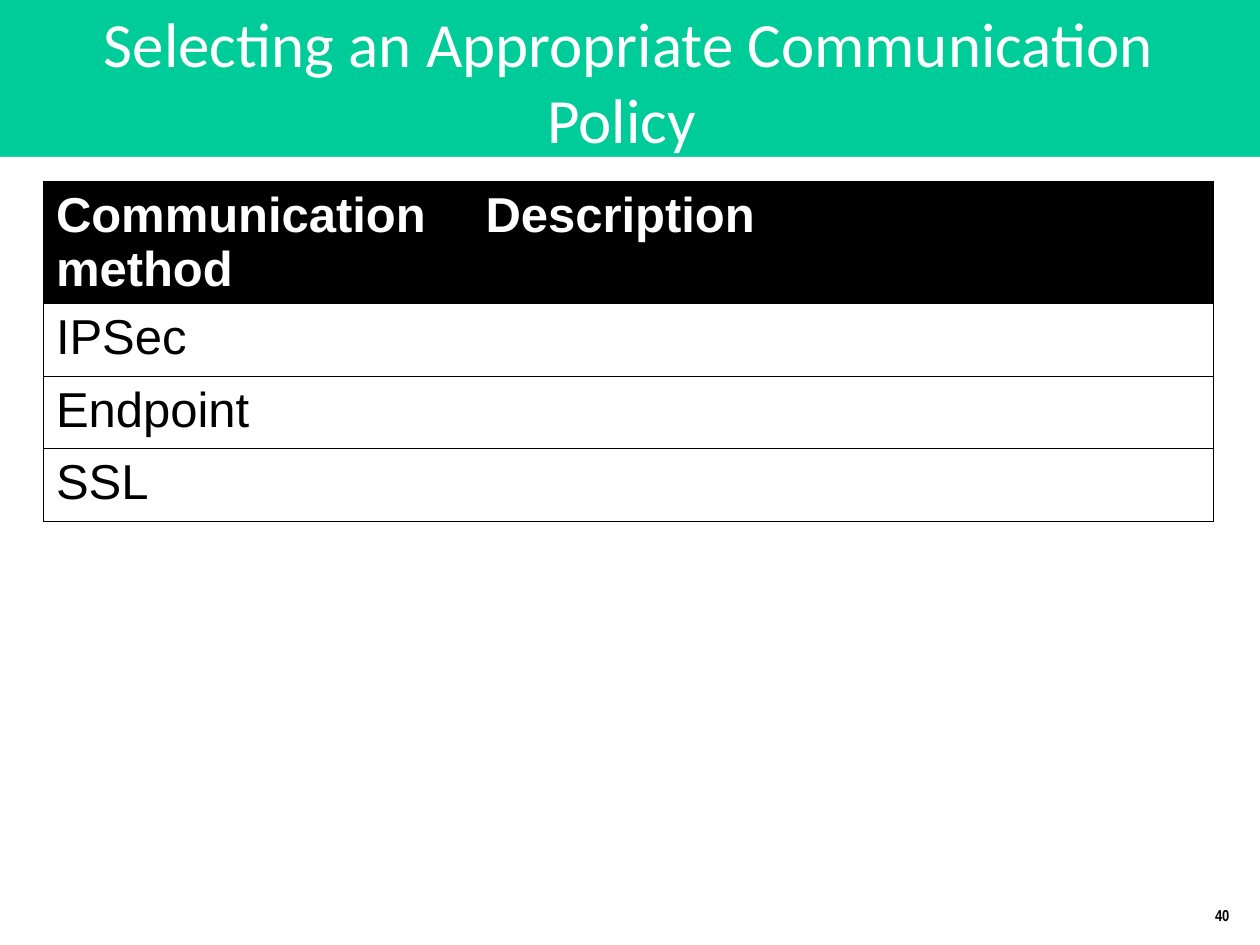
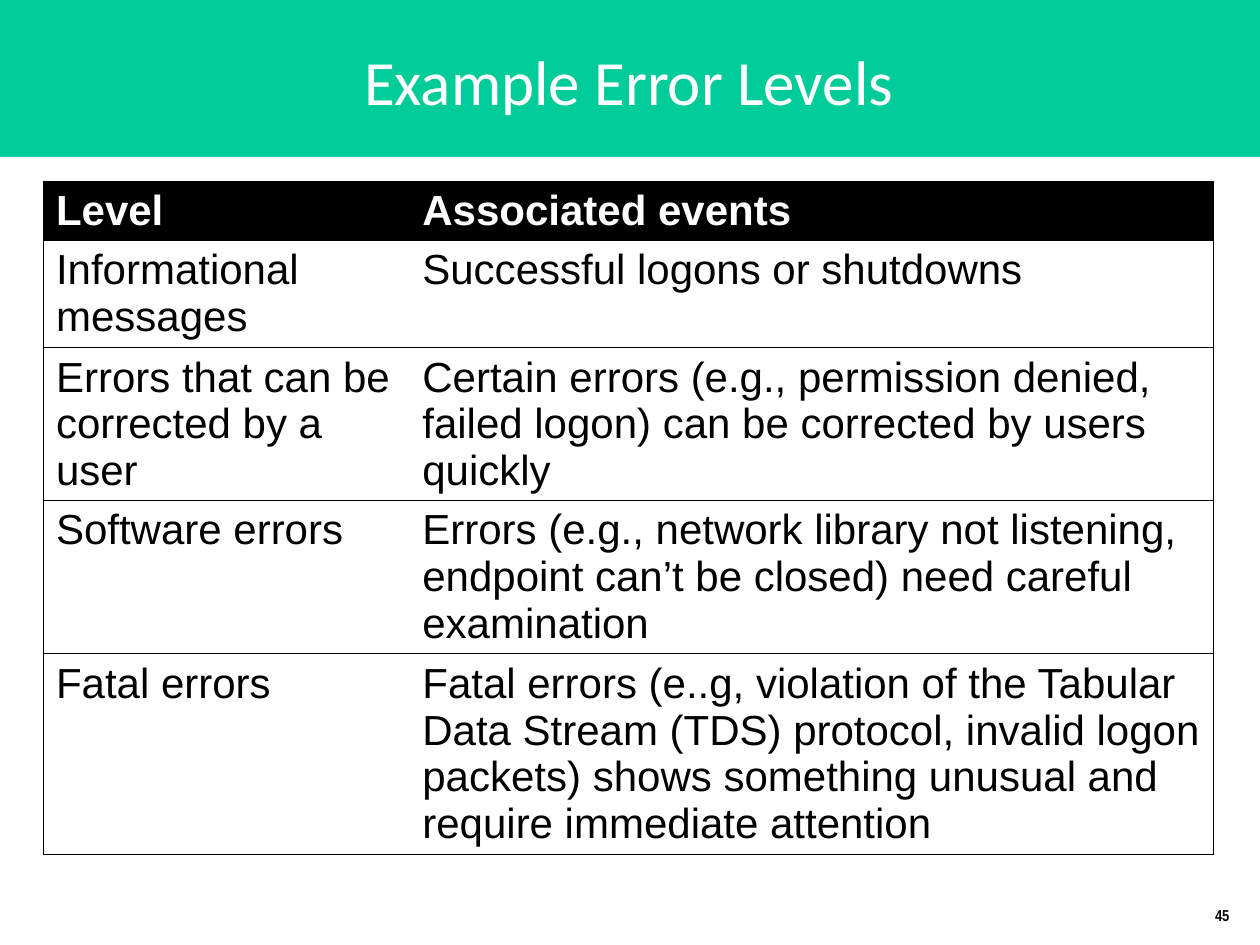
from pptx import Presentation
from pptx.dml.color import RGBColor
from pptx.enum.shapes import MSO_SHAPE as Shape
from pptx.enum.text import MSO_ANCHOR as Anchor, MSO_AUTO_SIZE as Fit, PP_ALIGN as Align
from pptx.oxml import parse_xml
from pptx.oxml.ns import nsdecls
from pptx.util import Inches, Pt

GREEN = RGBColor(0x00, 0xCC, 0x99)
BLUE = RGBColor(0x33, 0x33, 0xCC)
WHITE = RGBColor(0xFF, 0xFF, 0xFF)
BLACK = RGBColor(0x00, 0x00, 0x00)

deck = Presentation()
deck.slide_width, deck.slide_height = Inches(10), Inches(7.5)
W, H = deck.slide_width, deck.slide_height
BAND = int(H * 0.1661)
LEFT, WIDE = int(W * 0.0345), int(W * 0.929)


def style(frame, font, size, color, bold=False, align=Align.LEFT):
    for para in frame.paragraphs:
        para.alignment = align
        for run in para.runs:
            run.font.name, run.font.size = font, Pt(size)
            run.font.bold, run.font.color.rgb = bold, color


def edge(cell, sides):
    """Draw the named sides in black and clear the others."""
    props = cell._tc.get_or_add_tcPr()
    for i, side in enumerate("LRTB"):
        fill = f'<a:solidFill><a:srgbClr val="{BLACK}"/></a:solidFill>' if side in sides else "<a:noFill/>"
        props.insert(i, parse_xml(f'<a:ln{side} {nsdecls("a")} w="{Pt(0.75)}">{fill}</a:ln{side}>'))


# Title, page number, text size, first column's share, row heights, rows
pages = [
    ("Selecting an Appropriate Communication Policy ", 40, 28, 0.367,
     [0.97, 0.58, 0.57, 0.58],
     [("Communication method", "Description"),
      ("IPSec", ""),
      ("Endpoint", ""),
      ("SSL", "")]),
    ("Example Error Levels", 45, 24, 0.313,
     [0.47, 0.85, 1.21, 1.22, 1.59],
     [("Level", "Associated events"),
      ("Informational messages", "Successful logons or shutdowns"),
      ("Errors that can be corrected by a user",
       "Certain errors (e.g., permission denied, failed logon) can be corrected by users quickly"),
      ("Software errors",
       "Errors (e.g., network library not listening, endpoint can’t be closed) need careful examination"),
      ("Fatal errors",
       "Fatal errors (e..g, violation of the Tabular Data Stream (TDS) protocol, invalid logon packets) "
       "shows something unusual and require immediate attention")]),
]

for head, num, size, share, highs, rows in pages:
    slide = deck.slides.add_slide(deck.slide_layouts[5])
    slide.background.fill.solid()
    slide.background.fill.fore_color.rgb = BLUE

    # Band and white page
    for top, high, color in [(0, BAND, GREEN), (BAND, H - BAND, WHITE)]:
        rect = slide.shapes.add_shape(Shape.RECTANGLE, 0, top, W, high)
        rect.shadow.inherit = False
        rect.fill.solid()
        rect.fill.fore_color.rgb = color
        rect.line.fill.background()

    # Page number
    foot = slide.shapes.add_textbox(int(W * 0.8735), int(H * 0.944), int(W * 0.112), int(H * 0.041))
    frame = foot.text_frame
    frame.word_wrap, frame.vertical_anchor = True, Anchor.BOTTOM
    frame.text = str(num)
    style(frame, "Arial Narrow", 9, BLACK, True, Align.RIGHT)

    # Table, with fixed line pitch so that the rows keep their heights
    grid = slide.shapes.add_table(len(rows), 2, LEFT, int(H * 0.192), WIDE, Inches(sum(highs))).table
    grid.first_row = grid.horz_banding = False
    grid.columns[0].width = int(WIDE * share)
    grid.columns[1].width = WIDE - grid.columns[0].width
    for r, (row, high) in enumerate(zip(rows, highs)):
        grid.rows[r].height = Inches(high)
        for c, text in enumerate(row):
            cell = grid.cell(r, c)
            cell.text = text
            cell.margin_bottom = 0
            cell.text_frame.paragraphs[0].line_spacing = Pt(size * 1.117)
            cell.fill.solid()
            cell.fill.fore_color.rgb = WHITE if r else BLACK
            style(cell.text_frame, "Arial", size, BLACK if r else WHITE, r == 0)
            edge(cell, "LR"[c] + "TB")

    # Title, brought in front of the band
    title = slide.shapes.title
    title.left, title.top, title.width, title.height = LEFT, int(H * 0.007), WIDE, int(H * 0.156)
    frame = title.text_frame
    frame.text = head
    frame.auto_size, frame.vertical_anchor = Fit.NONE, Anchor.MIDDLE
    style(frame, "Calibri", 36, WHITE, align=Align.CENTER)
    slide.shapes._spTree.append(title._element)

deck.save("out.pptx")
